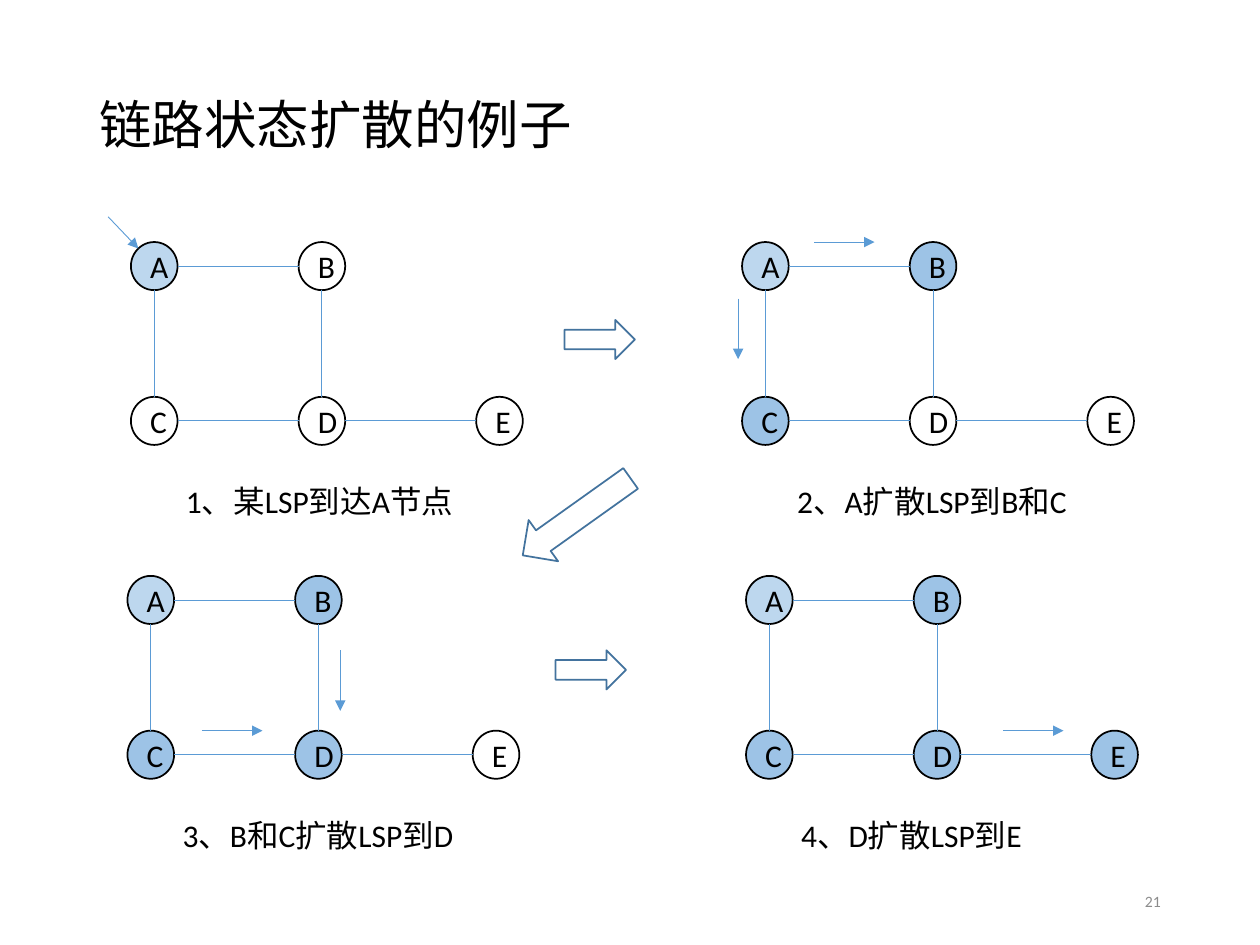
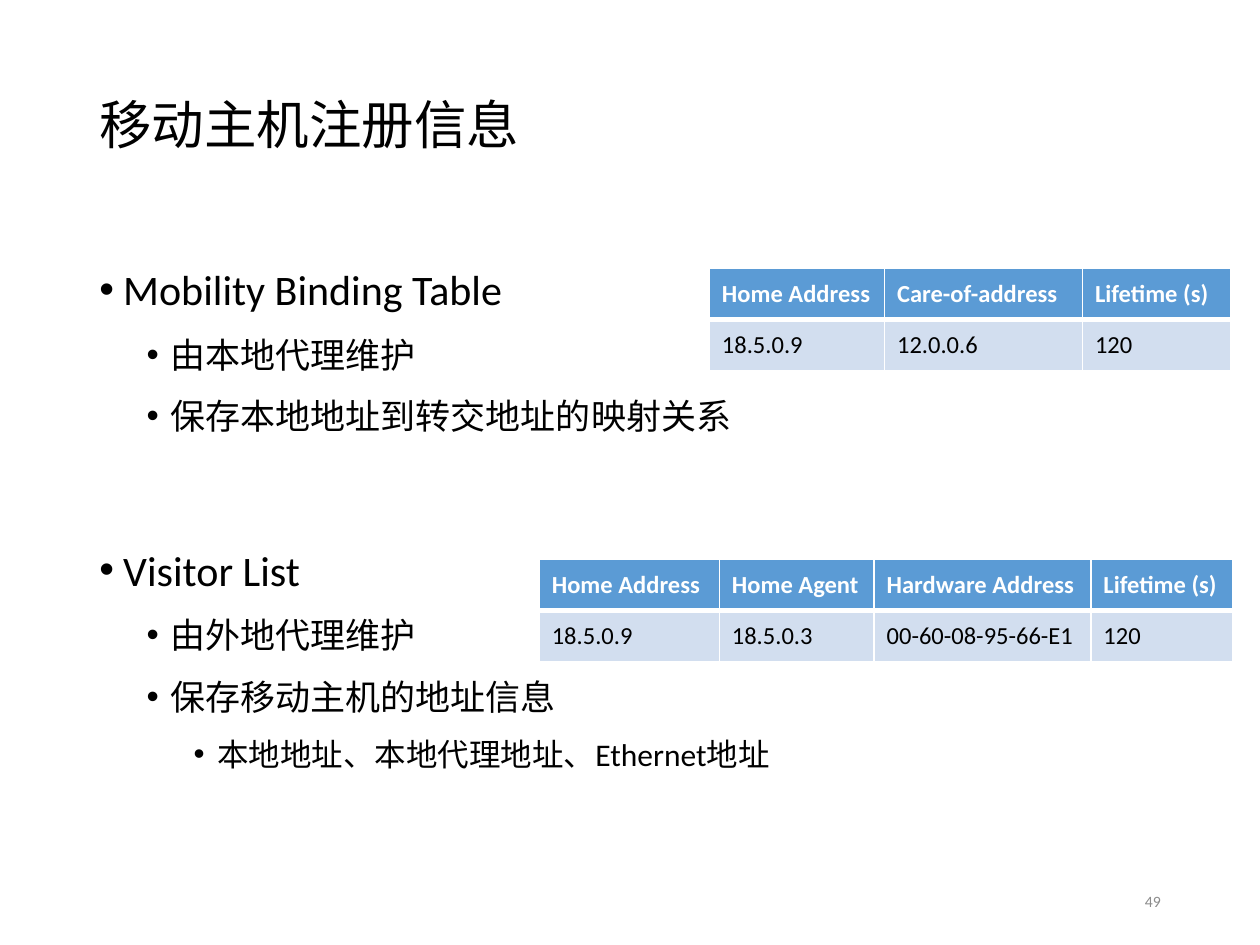
"""Build two network lecture slides: link-state flooding and mobile host registration."""
import lxml.etree
import pptx
import pptx.dml.color
import pptx.enum.shapes
import pptx.enum.text
import pptx.oxml.ns
import pptx.util

Cm, Pt = pptx.util.Cm, pptx.util.Pt
qn = pptx.oxml.ns.qn
Shape = pptx.enum.shapes.MSO_SHAPE
Align = pptx.enum.text.PP_ALIGN
Anchor = pptx.enum.text.MSO_ANCHOR
Auto = pptx.enum.text.MSO_AUTO_SIZE

FONT = "Calibri"
COLORS = {"ink": "000000", "white": "FFFFFF", "link": "5B9BD5", "edge": "43739E",
          "first": "BDD7EE", "flood": "9DC3E6", "row": "D2DEEF", "page": "8C8C8C"}

NODE_W, NODE_H = 0.94, 0.97
NODES = {"A": (0, 0), "B": (3.38, 0), "C": (0, 3.12), "D": (3.38, 3.12), "E": (6.96, 3.12)}
LINKS = ["AB", "AC", "CD", "BD", "DE"]

STEPS = [
    ((2.64, 4.88), "1、某LSP到达A节点", 5.94, "", [(-0.46, -0.51, 0.15, 0.13)]),
    ((14.96, 4.88), "2、A扩散LSP到B和C", 5.99, "BC",
     [(1.45, 0, 2.67, 0), (-0.08, 1.14, -0.08, 2.36)]),
    ((2.57, 11.61), "3、B和C扩散LSP到D", 6.02, "BCD",
     [(1.5, 3.12, 2.72, 3.12), (4.29, 1.5, 4.29, 2.72)]),
    ((15.04, 11.61), "4、D扩散LSP到E", 5, "BCDE", [(5.18, 3.12, 6.4, 3.12)]),
]
TURNS = [((11.38, 6.45, 1.42, 0.79), 0), ((11.2, 13.11, 1.42, 0.79), 0),
         ((10.29, 9.91, 2.67, 1.02), 144.5)]

POINTS = [(0, "Mobility Binding Table", 0), (1, "由本地代理维护", 3.8),
          (1, "保存本地地址到转交地址的映射关系", 3.8), (0, "Visitor List", 53),
          (1, "由外地代理维护", 3.8), (1, "保存移动主机的地址信息", 3.8),
          (2, "本地地址、本地代理地址、Ethernet地址", 3.8)]
BINDING = [["Home Address", "Care-of-address", "Lifetime (s)"],
           ["18.5.0.9", "12.0.0.6", "120"]]
VISITORS = [["Home Address", "Home Agent", "Hardware Address", "Lifetime (s)"],
            ["18.5.0.9", "18.5.0.3", "00-60-08-95-66-E1", "120"]]


def rgb(name):
    return pptx.dml.color.RGBColor.from_string(COLORS[name])


def write(para, text, size=18, color="ink", bold=False, align=Align.LEFT, space=None, before=0):
    para.text = text
    para.alignment = align
    para.space_before = Pt(before)
    if space:
        para.line_spacing = space
    font = para.font
    font.name, font.size, font.bold = FONT, Pt(size), bold
    font.color.rgb = rgb(color)


def place(shape, x, y, w, h):
    shape.left, shape.top, shape.width, shape.height = Cm(x), Cm(y), Cm(w), Cm(h)


class Deck:
    def __init__(self):
        self.prs = pptx.Presentation()
        self.prs.slide_width, self.prs.slide_height = Cm(25.4), Cm(19.05)

    def start(self, layout, title, page):
        self.slide = self.prs.slides.add_slide(self.prs.slide_layouts[layout])
        self.shapes = self.slide.shapes
        head = self.shapes.title
        place(head, 1.75, 1.02, 21.9, 3.12)
        head.text_frame.vertical_anchor = Anchor.MIDDLE
        write(head.text_frame.paragraphs[0], title, size=30, space=0.9)
        frame = self.label(page, 17.93, 17.65, 5.72, size=9, color="page", align=Align.RIGHT)
        frame.vertical_anchor = Anchor.MIDDLE

    def label(self, text, x, y, w, **style):
        frame = self.shapes.add_textbox(Cm(x), Cm(y), Cm(w), Cm(1.02)).text_frame
        frame.word_wrap = True
        write(frame.paragraphs[0], text, **style)
        return frame

    def shape(self, kind, box, line, fill=None):
        item = self.shapes.add_shape(kind, *map(Cm, box))
        item.shadow.inherit = False
        if fill:
            item.fill.solid()
            item.fill.fore_color.rgb = rgb(fill)
        else:
            item.fill.background()
        item.line.color.rgb = rgb(line)
        item.line.width = Pt(1)
        return item

    def line(self, x1, y1, x2, y2, arrow=False):
        item = self.shapes.add_connector(pptx.enum.shapes.MSO_CONNECTOR.STRAIGHT,
                                         Cm(x1), Cm(y1), Cm(x2), Cm(y2))
        item.line.color.rgb = rgb("link")
        item.line.width = Pt(0.5)
        if arrow:
            lxml.etree.SubElement(item.line._get_or_add_ln(), qn("a:tailEnd"), type="triangle")
        lxml.etree.SubElement(item._element.spPr, qn("a:effectLst"))

    def network(self, origin, lit, arrows):
        x, y = origin
        for name, (dx, dy) in NODES.items():
            fill = "first" if name == "A" else "flood" if name in lit else None
            node = self.shape(Shape.OVAL, (x + dx, y + dy, NODE_W, NODE_H), "ink", fill)
            write(node.text_frame.paragraphs[0], name, align=Align.CENTER)
        for a, b in LINKS:
            (ax, ay), (bx, by) = NODES[a], NODES[b]
            if ay == by:
                mid = y + ay + NODE_H / 2
                self.line(x + ax + NODE_W, mid, x + bx, mid)
            else:
                mid = x + ax + NODE_W / 2
                self.line(mid, y + ay + NODE_H, mid, y + by)
        for x1, y1, x2, y2 in arrows:
            self.line(x + x1, y + y1, x + x2, y + y2, arrow=True)

    def bullets(self, points):
        body = self.slide.placeholders[1]
        place(body, 1.75, 4.88, 21.9, 12.29)
        frame = body.text_frame
        frame.auto_size = Auto.NONE
        for i, (level, text, before) in enumerate(points):
            para = frame.add_paragraph() if i else frame.paragraphs[0]
            para.level = level
            para.line_spacing = 1.3
            para.space_before = Pt(before)
            props = para._p.get_or_add_pPr()
            props.set("marL", str(Cm(0.48 + 0.95 * level)))
            props.set("indent", str(-Cm(0.48)))
            lxml.etree.SubElement(props, qn("a:buFont"), typeface="Arial")
            lxml.etree.SubElement(props, qn("a:buChar"), char="•")
            write(para, text, size=(24, 20, 18)[level], before=before)

    def border(self, cell, head):
        props = cell._tc.get_or_add_tcPr()
        thick = "B" if head else "T"
        for side in "LRTB":
            width = Pt(3 if side == thick else 1)
            line = lxml.etree.SubElement(props, qn("a:ln" + side), w=str(width))
            fill = lxml.etree.SubElement(line, qn("a:solidFill"))
            lxml.etree.SubElement(fill, qn("a:srgbClr"), val=COLORS["white"])

    def table(self, rows, x, y, widths):
        grid = self.shapes.add_table(len(rows), len(widths), Cm(x), Cm(y),
                                     Cm(sum(widths)), Cm(1.03 * len(rows))).table
        for col, width in zip(grid.columns, widths):
            col.width = Cm(width)
        for r, row in enumerate(rows):
            head = r == 0
            for c, text in enumerate(row):
                cell = grid.cell(r, c)
                self.border(cell, head)
                cell.fill.solid()
                cell.fill.fore_color.rgb = rgb("link" if head else "row")
                cell.vertical_anchor = Anchor.MIDDLE
                write(cell.text_frame.paragraphs[0], text, size=14, bold=head,
                      color="white" if head else "ink")


def main():
    deck = Deck()
    deck.start(5, "链路状态扩散的例子", "21")
    for origin, text, width, lit, arrows in STEPS:
        deck.network(origin, lit, arrows)
        deck.label(text, origin[0] + 0.86, origin[1] + 4.72, width)
    for box, angle in TURNS:
        deck.shape(Shape.RIGHT_ARROW, box, "edge").rotation = angle

    deck.start(1, "移动主机注册信息", "49")
    deck.bullets(POINTS)
    deck.table(BINDING, 14.3, 5.41, [3.53, 3.99, 3])
    deck.table(VISITORS, 10.87, 11.28, [3.63, 3.12, 4.37, 2.87])
    deck.prs.save("out.pptx")


if __name__ == "__main__":
    main()
